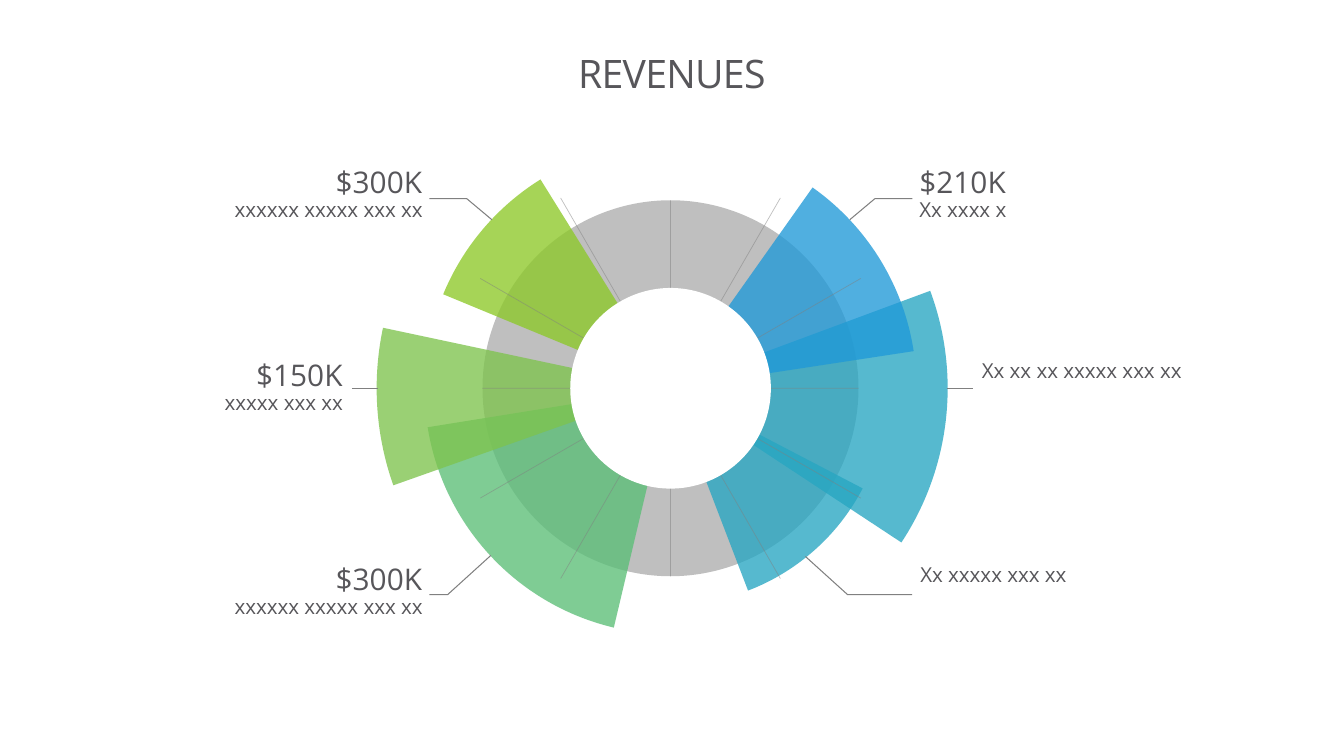
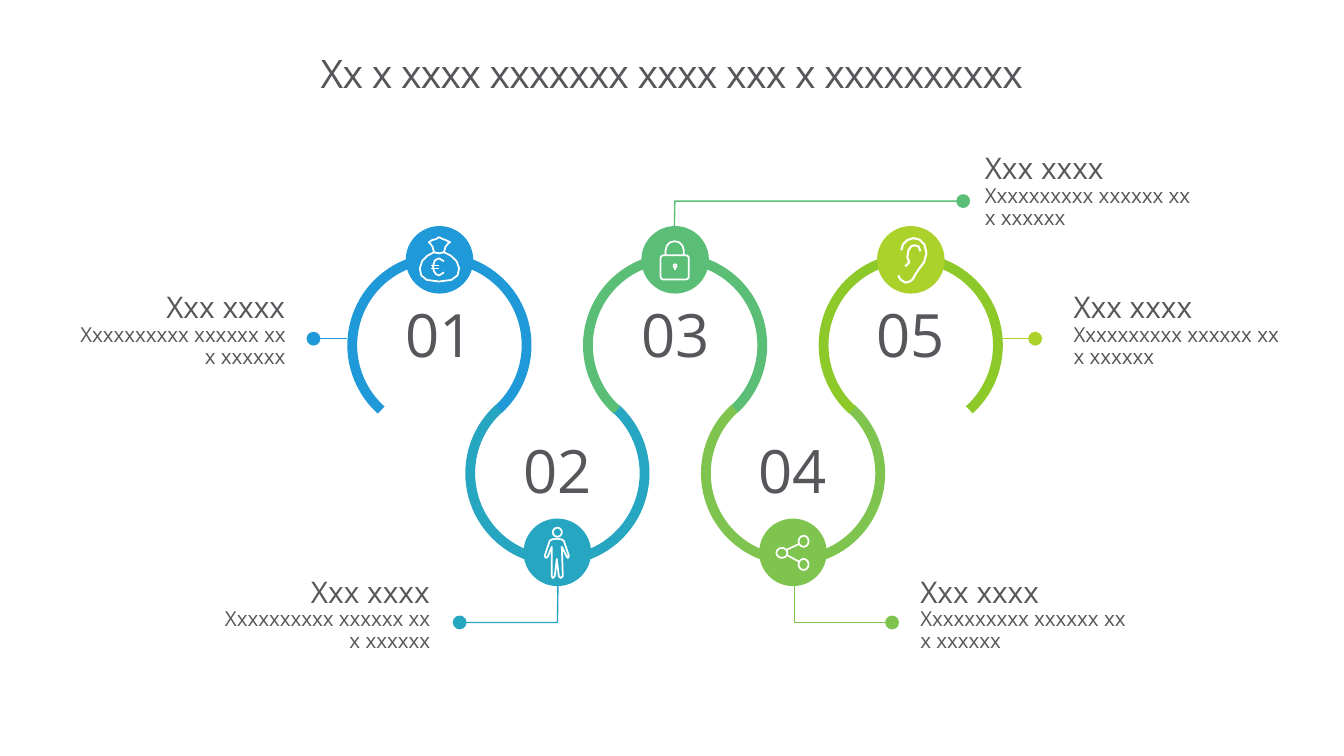
from dataclasses import dataclass
from math import cos, dist, radians, sin

from pptx import Presentation
from pptx.dml.color import RGBColor
from pptx.enum.shapes import MSO_CONNECTOR as Link, MSO_SHAPE as Preset
from pptx.enum.text import MSO_ANCHOR as Anchor, MSO_AUTO_SIZE as Fit, PP_ALIGN as Align
from pptx.oxml.ns import qn
from pptx.util import Inches, Pt
from lxml.etree import SubElement


@dataclass(frozen=True)
class Theme:
    font: str = "Open Sans"
    ink: str = "57565A"
    grey: str = "808080"
    white: str = "FFFFFF"
    blue: str = "2099D8"
    teal: str = "27A6C2"
    green: str = "5BBE77"
    leaf: str = "7EC44E"
    lime: str = "8DC928"
    lemon: str = "ABD22A"
    title: float = 28
    number: float = 42.67
    heading: float = 21.33
    detail: float = 14.67
    leading: float = 0.89
    title_leading: float = 0.86
    spacing: str = "-50"


@dataclass(frozen=True)
class Box:
    left: float
    top: float
    width: float
    height: float

    def emu(self):
        return [cells(v) for v in (self.left, self.top, self.width, self.height)]

    def inner(self, left, top, width, height):
        return Box(self.left + left, self.top + top, width, height)


THEME = Theme()
COLUMNS, ROWS = 133.33, 75
TITLE = Box(10, 3.1, 113.3, 8.9)
TIGHT, ROOMY = (0, 0, 0, 0), (1.3, 0.5, 1.3, 0.7)
ICON_UNITS = 67

BAG = [(33, 11), (35, 11, 36, 12, 37, 13), (38, 14, 39, 15, 40, 14),
       (43, 13, 46, 14, 44, 16), (43, 16, 38, 20, 38, 26),
       (44, 28, 53, 34, 53, 42), (53, 50, 49, 55, 33, 55),
       (17, 55, 14, 50, 14, 42), (14, 34, 22, 28, 28, 26),
       (28, 20, 23, 16, 23, 16), (21, 14, 23, 13, 26, 14),
       (27, 15, 29, 14, 30, 13), (31, 12, 31, 11, 33, 11)]
BAG_NECK = [(38, 26), (33, 27), (28, 26)]
EURO = [(38, 35), (37, 33, 35, 32, 33, 32), (30, 32, 27, 35, 27, 40),
        (27, 45, 30, 49, 33, 49), (35, 49, 37, 48, 38, 46)]
BODY = [(33, 20), (29, 20, 27, 21, 26, 22), (21, 37), (22, 39), (24, 38),
        (28, 28), (28, 57), (29, 59), (31, 57), (33, 40), (35, 57), (37, 59),
        (39, 57), (38, 28), (43, 38), (44, 39), (45, 37), (40, 22),
        (39, 21, 37, 20, 33, 20)]
SHACKLE = [(24, 29), (24, 24), (24, 19, 28, 15, 33, 15),
           (38, 15, 42, 19, 42, 24), (42, 29)]
EAR = [(24, 24), (24, 18, 30, 12, 36, 12), (42, 12, 49, 16, 49, 27),
       (49, 38, 40, 42, 38, 48), (36, 54, 32, 56, 28, 56), (25, 56, 21, 51, 21, 49)]
EAR_FOLD = [(43, 25), (43, 20, 40, 19, 37, 19), (34, 19, 30, 22, 30, 31),
            (30, 34, 32, 33, 32, 36), (32, 39, 28, 40, 28, 40)]


def cells(value):
    return Inches(value / 10)


def around(centre_x, centre_y, radius):
    return Box(centre_x - radius, centre_y - radius, 2 * radius, 2 * radius)


def fade(shape, percent):
    for colour in shape.element.spPr.iter(qn("a:srgbClr")):
        SubElement(colour, qn("a:alpha"), val=str(percent * 1000))


def stroke(shape, colour, width, oval=None):
    shape.line.color.rgb = RGBColor.from_string(colour)
    shape.line.width = Pt(width)
    if oval:
        SubElement(shape.element.spPr.find(qn("a:ln")), qn(f"a:{oval}End"),
                   type="oval", w="lg", len="lg")


def add_preset(shapes, preset, box, fill=None, line=None, width=1.25):
    shape = shapes.add_shape(preset, *box.emu())
    shape.shadow.inherit = False
    if fill:
        shape.fill.solid()
        shape.fill.fore_color.rgb = RGBColor.from_string(fill)
    else:
        shape.fill.background()
    if line:
        stroke(shape, line, width)
    else:
        shape.line.fill.background()
    return shape


def add_sweep(shapes, preset, box, angles, **look):
    shape = add_preset(shapes, preset, box, **look)
    for index, angle in enumerate(angles):
        shape.adjustments[index] = angle * 0.6
    return shape


def add_line(shapes, start, end, colour, width, oval=None):
    line = shapes.add_connector(Link.STRAIGHT, *map(cells, (*start, *end)))
    stroke(line, colour, width, oval)
    SubElement(line.element.spPr, qn("a:effectLst"))
    return line


def add_polyline(shapes, points, colour, width, oval=None):
    closed = points[0] == points[-1]
    start, *rest = [tuple(map(cells, point)) for point in points]
    builder = shapes.build_freeform(*start)
    builder.add_line_segments(rest[:-1] if closed else rest, close=closed)
    shape = builder.convert_to_shape()
    shape.shadow.inherit = False
    shape.fill.background()
    stroke(shape, colour, width, oval)


def flatten(outline):
    points = [outline[0]]
    for segment in outline[1:]:
        if len(segment) == 2:
            points.append(segment)
            continue
        knots = [points[-1], segment[:2], segment[2:4], segment[4:]]
        steps = min(3, max(1, round(dist(knots[0], knots[3]) / 4)))
        for step in range(1, steps + 1):
            t = step / steps
            weights = ((1 - t) ** 3, 3 * t * (1 - t) ** 2, 3 * t * t * (1 - t), t ** 3)
            points.append(tuple(sum(w * knot[axis] for w, knot in zip(weights, knots))
                                for axis in (0, 1)))
    return points


def write(frame, lines, align, insets, leading=THEME.leading):
    frame.word_wrap = True
    frame.margin_left, frame.margin_top, frame.margin_right, frame.margin_bottom = map(cells, insets)
    for index, (text, size) in enumerate(lines):
        para = frame.add_paragraph() if index else frame.paragraphs[0]
        para.text = text
        para.alignment = align
        para.line_spacing = leading
        para.space_before = Pt(0)
        para.font.name = THEME.font
        para.font.size = Pt(size)
        para.font.color.rgb = RGBColor.from_string(THEME.ink)


def add_label(page, box, lines, align, insets):
    frame = page.shapes.add_textbox(*box.emu()).text_frame
    write(frame, lines, align, insets)
    frame.auto_size = Fit.SHAPE_TO_FIT_TEXT


def add_page(deck, title):
    page = deck.slides.add_slide(deck.slide_layouts[5])
    holder = page.shapes.title
    holder.left, holder.top, holder.width, holder.height = TITLE.emu()
    frame = holder.text_frame
    frame.auto_size = Fit.NONE
    frame.vertical_anchor = Anchor.MIDDLE
    write(frame, [(title, THEME.title)], Align.CENTER, TIGHT, THEME.title_leading)
    frame.paragraphs[0].runs[0].font._element.set("spc", THEME.spacing)
    return page


def draw_wheel(page, centre_x, centre_y):
    shapes = page.shapes
    ring = add_preset(shapes, Preset.OVAL, around(centre_x, centre_y, 18.65), THEME.grey)
    fade(ring, 50)
    wedges = [
        (0, 24.4, 202.46, 238.08, THEME.lime),
        (0, 24.4, 103.32, 170.88, THEME.green),
        (-0.3, 27.8, 339.66, 33.4, THEME.teal),
        (0, 24.4, 305.28, 351.32, THEME.blue),
        (-0.3, 28.85, 160.5, 192, THEME.leaf),
        (0, 21.5, 27.54, 69.03, THEME.teal),
    ]
    for shift, radius, first, last, colour in wedges:
        wedge = add_sweep(shapes, Preset.PIE, around(centre_x + shift, centre_y, radius),
                          (first, last), fill=colour)
        fade(wedge, 78)
    spokes = shapes.add_group_shape().shapes
    for step in range(6):
        reach = 21.8 if step % 3 else 18.65
        dx, dy = reach * cos(radians(30 * step)), reach * sin(radians(30 * step))
        spoke = add_line(spokes, (centre_x + dx, centre_y + dy),
                         (centre_x - dx, centre_y - dy), THEME.grey, 0.5)
        fade(spoke, 50)
    add_preset(shapes, Preset.OVAL, around(centre_x, centre_y, 9.95), THEME.white)


def build_revenues(deck):
    page = add_page(deck, "REVENUES")
    draw_wheel(page, 66.52, 38.52)
    labels = [
        (91.2, 16.7, Align.LEFT, "$210K", "Xx xxxx x"),
        (91.3, 56.05, Align.LEFT, None, "Xx xxxxx xxx xx"),
        (97.4, 35.8, Align.LEFT, None, "Xx xx xx xxxxx xxx xx"),
        (18.1, 56.1, Align.RIGHT, "$300K", "xxxxxx xxxxx xxx xx"),
        (10.2, 35.8, Align.RIGHT, "$150K", "xxxxx xxx xx"),
        (18.1, 16.7, Align.RIGHT, "$300K", "xxxxxx xxxxx xxx xx"),
    ]
    for left, top, align, amount, detail in labels:
        lines = [(amount, THEME.heading)] if amount else []
        lines.append((detail, THEME.detail))
        box = Box(left, top, 23.8, 5.4 if amount else 2.2)
        add_label(page, box, lines, align, TIGHT)
    leaders = [
        [(84.3, 21.8), (86.8, 19.7), (90.5, 19.7)],
        [(79.9, 55.2), (84.1, 59), (90.5, 59)],
        [(48.8, 21.8), (46.3, 19.7), (42.6, 19.7)],
        [(48.7, 55.1), (44.4, 59), (42.6, 59)],
    ]
    for points in leaders:
        add_polyline(page.shapes, points, THEME.grey, 0.75)
    for left in (34.9, 93.9):
        add_line(page.shapes, (left, 38.5), (left + 2.6, 38.5), THEME.grey, 0.75)


def draw_badge(page, box, colour, icon, width=1.25):
    shapes = page.shapes.add_group_shape().shapes
    add_preset(shapes, Preset.OVAL, box, colour)
    unit = box.width / ICON_UNITS
    for kind, data in icon:
        if kind == "outline":
            points = [(box.left + x * unit, box.top + y * unit) for x, y in flatten(data)]
            if len(points) == 2:
                add_line(shapes, *points, THEME.white, width)
            else:
                add_polyline(shapes, points, THEME.white, width)
        else:
            preset = Preset.OVAL if kind == "oval" else Preset.ROUNDED_RECTANGLE
            part = add_preset(shapes, preset, box.inner(*(v * unit for v in data)),
                              line=THEME.white, width=width)
            if kind == "round":
                part.adjustments[0] = 0.12


def draw_station(page, box, number, flipped, arc_colour, badge_colour, icon, width):
    arc = add_sweep(page.shapes, Preset.ARC, box, (131.9, 47.81), line=arc_colour, width=7)
    arc.rotation = 180 if flipped else 0
    draw_badge(page, box.inner(5.3, 13.15 if flipped else -3.17, 6.7, 6.7),
               badge_colour, icon, width)
    add_label(page, box.inner(2.55, 5.1 if flipped else 4.3, 12.2, 7.6),
              [(number, THEME.number)], Align.CENTER, ROOMY)


def build_path(deck):
    page = add_page(deck, "Xx x xxxx xxxxxxx xxxx xxx x xxxxxxxxxx")
    bag = [("outline", EURO), ("outline", [(25, 39), (33, 39)]),
           ("outline", [(25, 42), (33, 42)]), ("outline", BAG_NECK), ("outline", BAG)]
    person = [("oval", (29, 9, 9, 9)), ("outline", BODY)]
    lock = [("round", (19, 29, 28, 24)), ("outline", SHACKLE),
            ("oval", (32, 38, 3, 3)), ("outline", [(33, 41), (33, 44)])]
    share = [("oval", (17, 29, 11, 10)), ("oval", (39, 40, 10, 11)),
             ("oval", (39, 17, 10, 11)), ("outline", [(27, 36), (40, 43)]),
             ("outline", [(40, 25), (27, 31)])]
    ear = [("outline", EAR), ("outline", EAR_FOLD)]
    stations = [
        (THEME.blue, THEME.blue, bag, 1.25),
        (THEME.teal, THEME.teal, person, 1.25),
        (THEME.green, THEME.green, lock, 1.25),
        (THEME.leaf, THEME.leaf, share, 1.25),
        (THEME.lime, THEME.lemon, ear, 1.5),
    ]
    for step, station in enumerate(stations):
        flipped = step % 2 == 1
        box = Box(34.95 + 11.69 * step, 38.3 if flipped else 25.6, 17.3, 17.3)
        draw_station(page, box, f"{step + 1:02}", flipped, *station)
    callouts = [(5.2, 28.55, Align.RIGHT), (19.55, 56.8, Align.RIGHT),
                (96.4, 14.75, Align.LEFT), (90, 56.8, Align.LEFT), (105.2, 28.55, Align.LEFT)]
    lines = [("Xxx xxxx", THEME.heading), ("Xxxxxxxxxx xxxxxx xx x xxxxxx", THEME.detail)]
    for left, top, align in callouts:
        add_label(page, Box(left, top, 24.4, 8.8), lines, align, ROOMY)
    add_line(page.shapes, (34.4, 33.6), (31.1, 33.6), THEME.blue, 1, "tail")
    add_line(page.shapes, (99.4, 33.6), (102.7, 33.6), THEME.lemon, 1, "tail")
    leaders = [
        (THEME.leaf, [(88.5, 61.75), (78.8, 61.75), (78.8, 58)]),
        (THEME.teal, [(45.6, 61.75), (55.3, 61.75), (55.35, 58)]),
        (THEME.green, [(95.55, 19.95), (66.95, 19.95), (66.9, 22.7)]),
    ]
    for colour, points in leaders:
        add_polyline(page.shapes, points, colour, 1, "head")


def main():
    deck = Presentation()
    deck.slide_width, deck.slide_height = cells(COLUMNS), cells(ROWS)
    build_revenues(deck)
    build_path(deck)
    deck.save("out.pptx")


if __name__ == "__main__":
    main()
